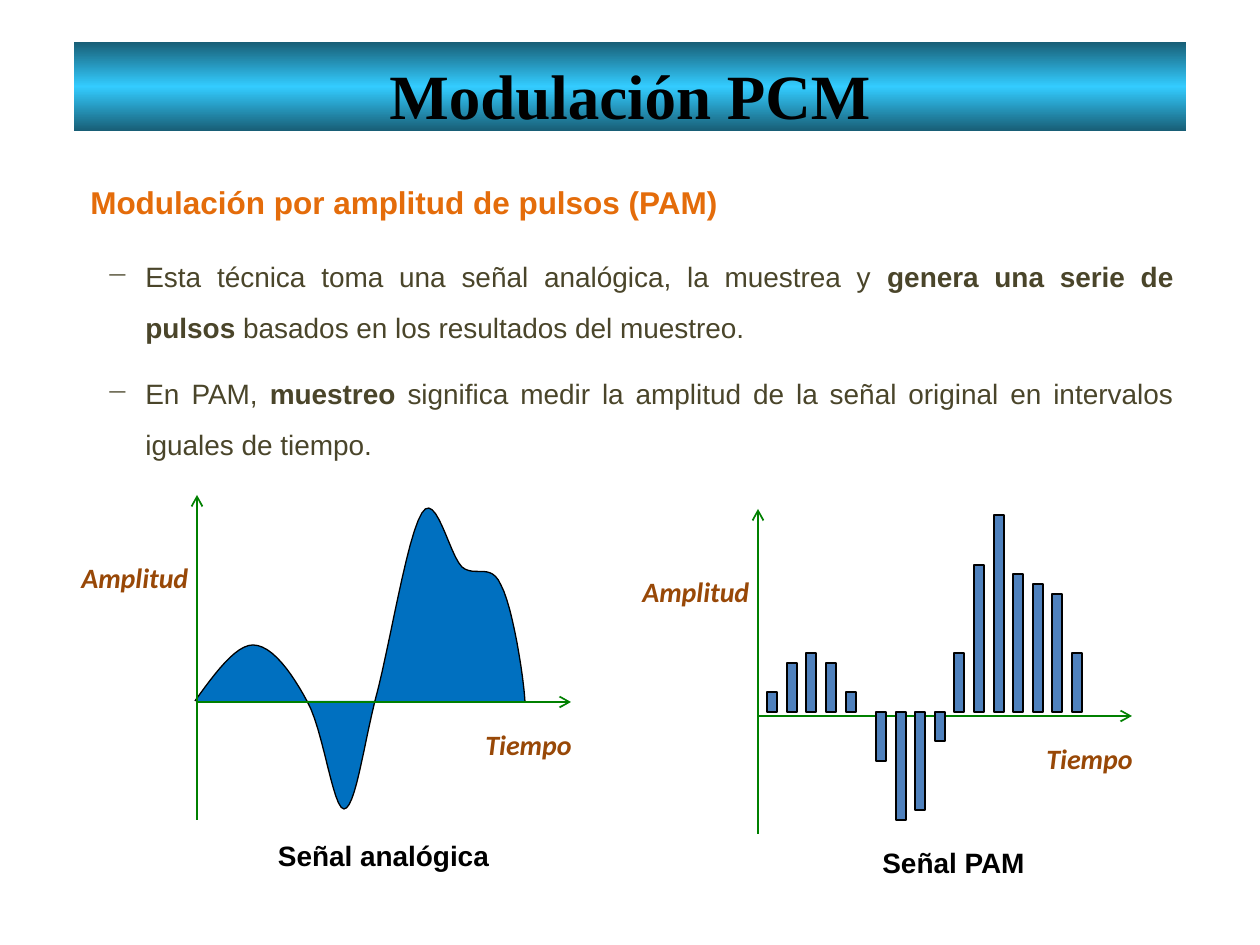
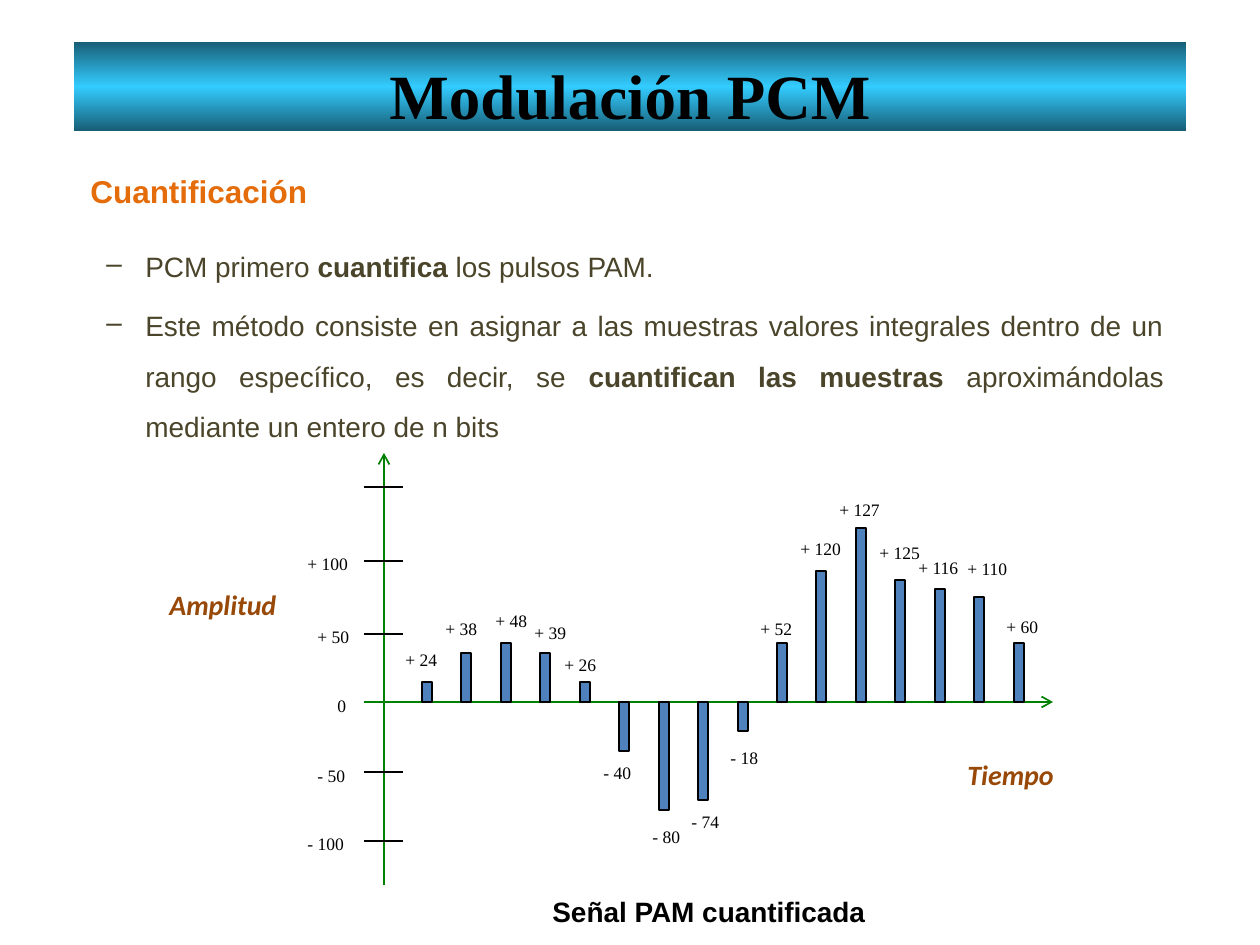
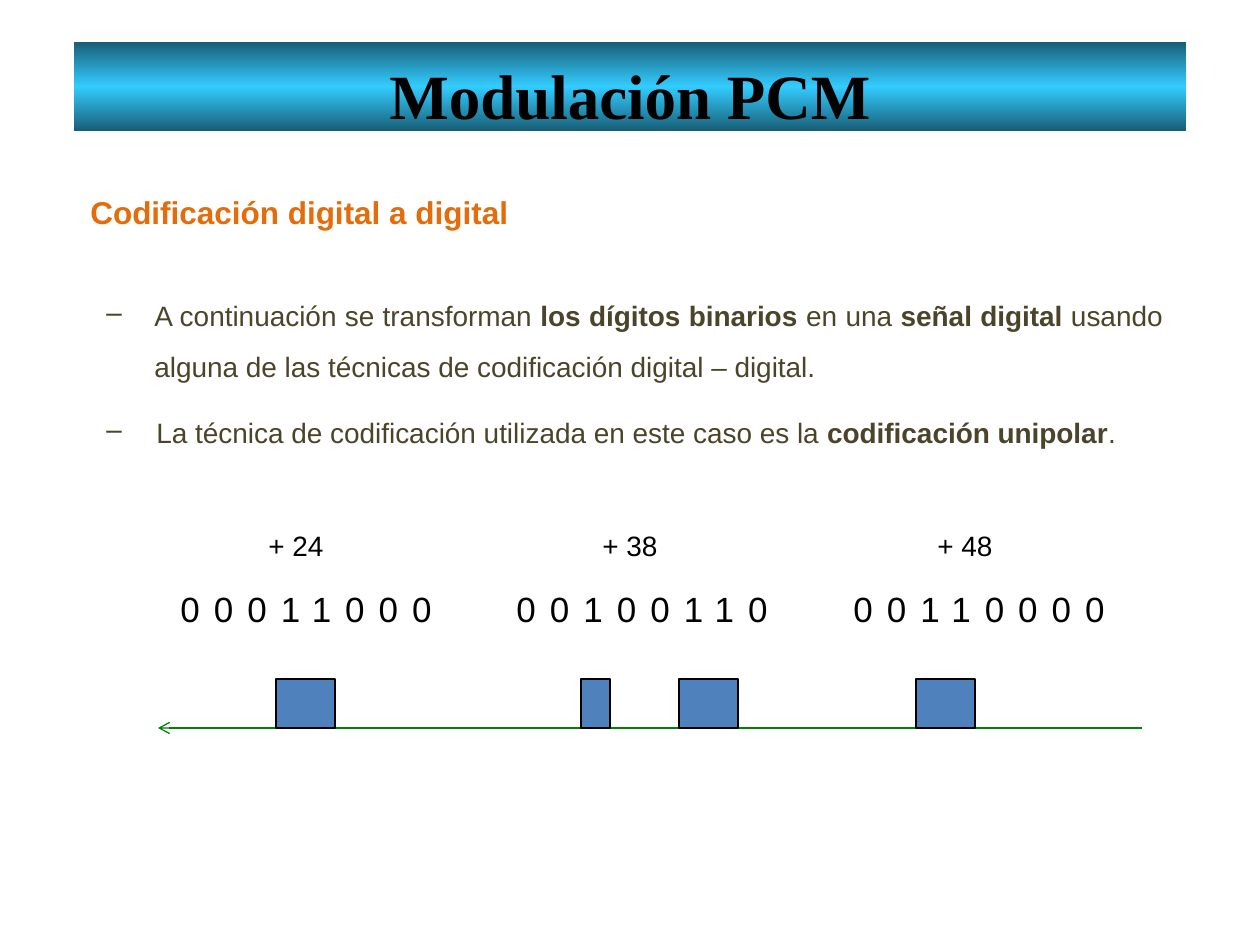
import pptx
import pptx.dml.color
import pptx.enum.shapes
import pptx.enum.text
import pptx.oxml
import pptx.oxml.ns
import pptx.util
import copy

PX = 914400 / 126  # EMU in one px

ORANGE, OLIVE, BROWN = "E46C0A", "4A452A", "984807"
BLACK, GREEN, PULSE_BLUE, WAVE_BLUE = "000000", "008000", "4F81BD", "0070C0"
BAND = ["185E76", "33CCFF", "185E76"]
ALIGN = pptx.enum.text.PP_ALIGN


def emu(px):
    return pptx.util.Emu(round(px * PX))


def color(hex_code):
    return pptx.dml.color.RGBColor.from_string(hex_code)


def add_xml(parent, tag, **attributes):
    child = pptx.oxml.parse_xml(f"<a:{tag} {pptx.oxml.ns.nsdecls('a')}/>")
    for name, value in attributes.items():
        child.set(name, str(value))
    parent.append(child)
    return child


def bezier(start, first, second, end, steps=12):
    """Points along one cubic curve, without its start."""
    for step in range(1, steps + 1):
        t = step / steps
        weights = ((1 - t) ** 3, 3 * t * (1 - t) ** 2, 3 * t * t * (1 - t), t ** 3)
        corners = (start, first, second, end)
        yield tuple(emu(sum(w * corner[axis] for w, corner in zip(weights, corners)))
                    for axis in (0, 1))


class Slides:
    def __init__(self):
        self.deck = pptx.Presentation()
        self.deck.slide_width = emu(1260)
        self.deck.slide_height = emu(945)

    def new_page(self, title):
        self.page = self.deck.slides.add_slide(self.deck.slide_layouts[5])
        box = self.page.shapes.title
        box.left, box.top, box.width, box.height = map(emu, (74, 42, 1112, 89))
        # Three-stop gradient band
        box.fill.gradient()
        box.fill.gradient_angle = 90
        stops = box.element.spPr.find(".//" + pptx.oxml.ns.qn("a:gsLst"))
        stops.insert(1, copy.deepcopy(stops[0]))
        for index, stop in enumerate(box.fill.gradient_stops):
            stop.position = index / 2
            stop.color.rgb = color(BAND[index])
        frame = box.text_frame
        frame.text = title
        frame.vertical_anchor = pptx.enum.text.MSO_ANCHOR.TOP
        frame.margin_top, frame.margin_bottom = emu(14), 0
        frame.paragraphs[0].alignment = ALIGN.CENTER
        self.style(frame.paragraphs[0].runs[0], 36, BLACK, "Times New Roman", True)

    def style(self, span, size, hex_code, font="Arial", bold=False, italic=False):
        span.font.name = font
        span.font.size = pptx.util.Pt(size)
        span.font.color.rgb = color(hex_code)
        span.font.bold, span.font.italic = bold, italic

    def text_box(self, left, top, width, height):
        box = self.page.shapes.add_textbox(*map(emu, (left, top, width, height)))
        box.text_frame.word_wrap = True
        return box.text_frame.paragraphs[0]

    def label(self, text, left, top, width, height, size, hex_code=BLACK,
              align=ALIGN.LEFT, **font):
        para = self.text_box(left, top, width, height)
        para.text = text
        para.alignment = align
        self.style(para.runs[0], size, hex_code, **font)
        return para

    def heading(self, text, top):
        para = self.label(text, 78, top, 808, 78, 18, ORANGE, bold=True)
        para.line_spacing = 1.5

    def bullet(self, text, top, width, height, mark="–", indent=39):
        """Justified bullet; parts between asterisks are bold."""
        para = self.text_box(94, top, width, height)
        props = para._p.get_or_add_pPr()
        props.set("marL", str(emu(indent)))
        props.set("indent", str(-emu(indent)))
        add_xml(props, "buChar", char=mark)
        para.alignment = ALIGN.JUSTIFY
        para.line_spacing = 1.5
        for index, part in enumerate(text.split("*")):
            span = para.add_run()
            span.text = part
            self.style(span, 16, OLIVE, bold=index % 2 == 1)

    def caption(self, text, left, top, width):
        self.label(text, left, top, width, 47, 16, align=ALIGN.CENTER, bold=True)

    def axis_name(self, text, left, top):
        self.label(text, left, top, 168, 47, 16, BROWN, font="Calibri",
                   bold=True, italic=True)

    def number(self, text, left, top):
        self.label(text, left, top, 72, 34, 10, font="Times New Roman")

    def line(self, x1, y1, x2, y2, hex_code=GREEN, weight=1, arrow=True):
        line = self.page.shapes.add_connector(
            pptx.enum.shapes.MSO_CONNECTOR.STRAIGHT, *map(emu, (x1, y1, x2, y2)))
        line.line.color.rgb = color(hex_code)
        line.line.width = pptx.util.Pt(weight)
        if arrow:
            add_xml(line.line._get_or_add_ln(), "tailEnd", type="arrow")
        add_xml(line._element.spPr, "effectLst")

    def paint(self, shape, fill):
        shape.shadow.inherit = False
        shape.fill.solid()
        shape.fill.fore_color.rgb = color(fill)
        shape.line.color.rgb = color(BLACK)
        shape.line.width = pptx.util.Pt(0.75)

    def block(self, left, top, width, height):
        self.paint(self.page.shapes.add_shape(
            pptx.enum.shapes.MSO_SHAPE.RECTANGLE,
            *map(emu, (left, top, width, height))), PULSE_BLUE)

    def pulses(self, left, pitch, base, heights):
        """Bars above the base for positive heights, below it for negative ones."""
        for index, height in enumerate(heights):
            self.block(round(left + index * pitch), base - max(height, 0), 10, abs(height))

    def wave(self, points):
        start = points[0]
        builder = self.page.shapes.build_freeform(*map(emu, start), scale=1.0)
        for index in range(0, len(points) - 1, 3):
            builder.add_line_segments(list(bezier(*points[index:index + 4])), close=False)
        self.paint(builder.convert_to_shape(), WAVE_BLUE)


# Pulse heights shared by both pulse diagrams
RISE = [20, 49, 59, 49, 20]
FALL = [-49, -108, -98, -29, 59]

# Start, then two handles and an end for each curve
WAVE = [(195, 701),
        (215, 673), (236, 645), (253, 645), (272, 645), (292, 673), (307, 701),
        (323, 728), (333, 809), (344, 809), (355, 809), (363, 750), (375, 701),
        (389, 651), (407, 536), (422, 513), (436, 490), (449, 554), (462, 567),
        (475, 578), (491, 562), (501, 585), (513, 607), (524, 679), (525, 701)]

PULSE_VALUES = [
    ("+ 24", 393, 643), ("+ 38", 433, 612), ("+ 48", 483, 604), ("+ 39", 522, 616),
    ("+ 26", 552, 648), ("- 40", 591, 756), ("- 80", 640, 820), ("- 74", 679, 805),
    ("- 18", 718, 741), ("+ 52", 748, 612), ("+ 120", 788, 532), ("+ 127", 827, 493),
    ("+ 125", 867, 536), ("+ 116", 906, 551), ("+ 110", 955, 552), ("+ 60", 994, 610)]
SCALE_VALUES = [("+ 100", 295, 547), ("+ 50", 305, 620), ("0", 325, 689),
                ("- 50", 305, 759), ("- 100", 295, 827)]


def pam_page(slides):
    slides.new_page("Modulación PCM")
    slides.heading("Modulación por amplitud de pulsos (PAM)", 158)
    slides.bullet("Esta técnica toma una señal analógica, la muestrea y *genera una serie "
                  "de pulsos *basados en los resultados del muestreo.", 237, 1092, 118, "─")
    slides.bullet("En PAM,* muestreo* significa medir la amplitud de la señal original en "
                  "intervalos iguales de tiempo.", 354, 1092, 118, "─")
    # Both diagrams have the same axes
    slides.wave(WAVE)
    for x, y in ((197, 702), (758, 716)):
        slides.line(x, y + 118, x, y - 207)
        slides.line(x, y, x + 374, y)
        slides.axis_name("Amplitud", x - 128, y - 148)
        slides.axis_name("Tiempo", x + 276, y + 19)
    slides.pulses(767, 19.7, 712, RISE)
    slides.pulses(876, 19.6, 712, FALL + [147, 197, 138, 128, 118, 59])
    slides.caption("Señal analógica", 236, 832, 295)
    slides.caption("Señal PAM", 806, 839, 295)


def quantization_page(slides):
    slides.new_page("Modulación PCM")
    slides.heading("Cuantificación", 147)
    slides.bullet("PCM primero *cuantifica* los pulsos PAM.", 227, 916, 69)
    slides.bullet("Este método consiste en asignar a las muestras valores integrales dentro "
                  "de un rango específico, es decir, se *cuantifican las muestras "
                  "*aproximándolas mediante un entero de n bits", 286, 1082, 178)
    # Axes and scale
    slides.line(384, 885, 384, 453)
    slides.line(364, 702, 1053, 702)
    for y in (487, 561, 634, 772, 841):
        slides.line(364, y, 403, y, BLACK, 0.75, arrow=False)
    slides.axis_name("Amplitud", 157, 581)
    slides.axis_name("Tiempo", 955, 751)
    # Pulses and their values
    slides.pulses(422, 39.45, 702, RISE + FALL + [131, 174, 122, 113, 105, 59])
    for value in PULSE_VALUES + SCALE_VALUES:
        slides.number(*value)
    slides.caption("Señal PAM cuantificada", 532, 888, 354)


def coding_page(slides):
    slides.new_page("Modulación PCM")
    slides.heading("Codificación digital a digital", 168)
    slides.bullet("A continuación se transforman *los dígitos binarios *en una *señal "
                  "digital* usando alguna de las técnicas de codificación digital – digital.",
                  276, 1081, 108, indent=48)
    slides.bullet("La técnica de codificación utilizada en este caso es la *codificación "
                  "unipolar*.", 393, 1053, 88, indent=50)
    # Values and their bits, one tab stop per byte
    for index, text in enumerate(("+ 24", "+ 38", "+ 48")):
        slides.label(text, 256 + round(334.5 * index), 522, 88, 47, 16)
    bits = slides.label("00011000\t00110000".replace("\t", "\t00100110\t"),
                        168, 581, 974, 55, 20)
    bits.runs[0].font._element.set("spc", "800")
    stops = add_xml(bits._p.get_or_add_pPr(), "tabLst")
    for position in (336, 673):
        add_xml(stops, "tab", pos=emu(position), algn="l")
    # Unipolar signal
    slides.line(1142, 728, 158, 728, weight=0.75)
    for left, width in ((276, 59), (581, 29), (679, 59), (916, 59)):
        slides.block(left, 679, width, 49)


def main():
    slides = Slides()
    pam_page(slides)
    quantization_page(slides)
    coding_page(slides)
    slides.deck.save("out.pptx")


if __name__ == "__main__":
    main()
